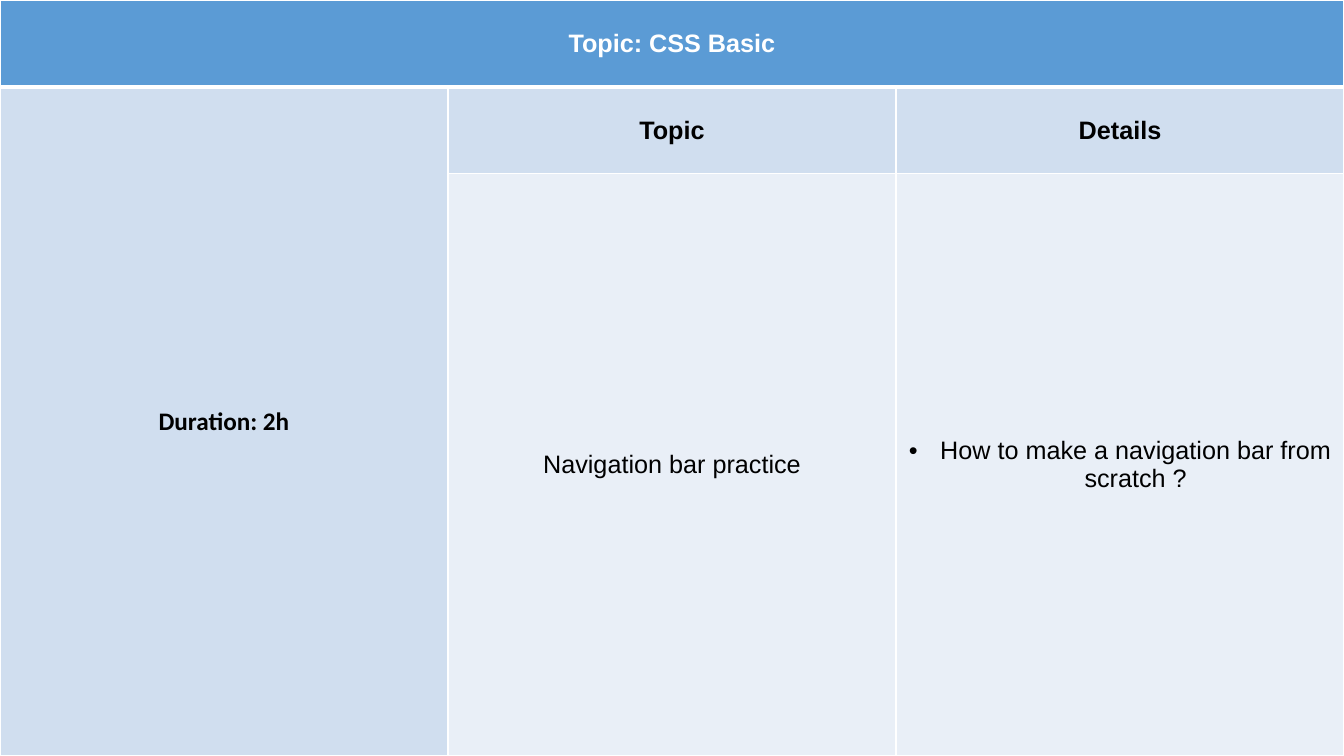
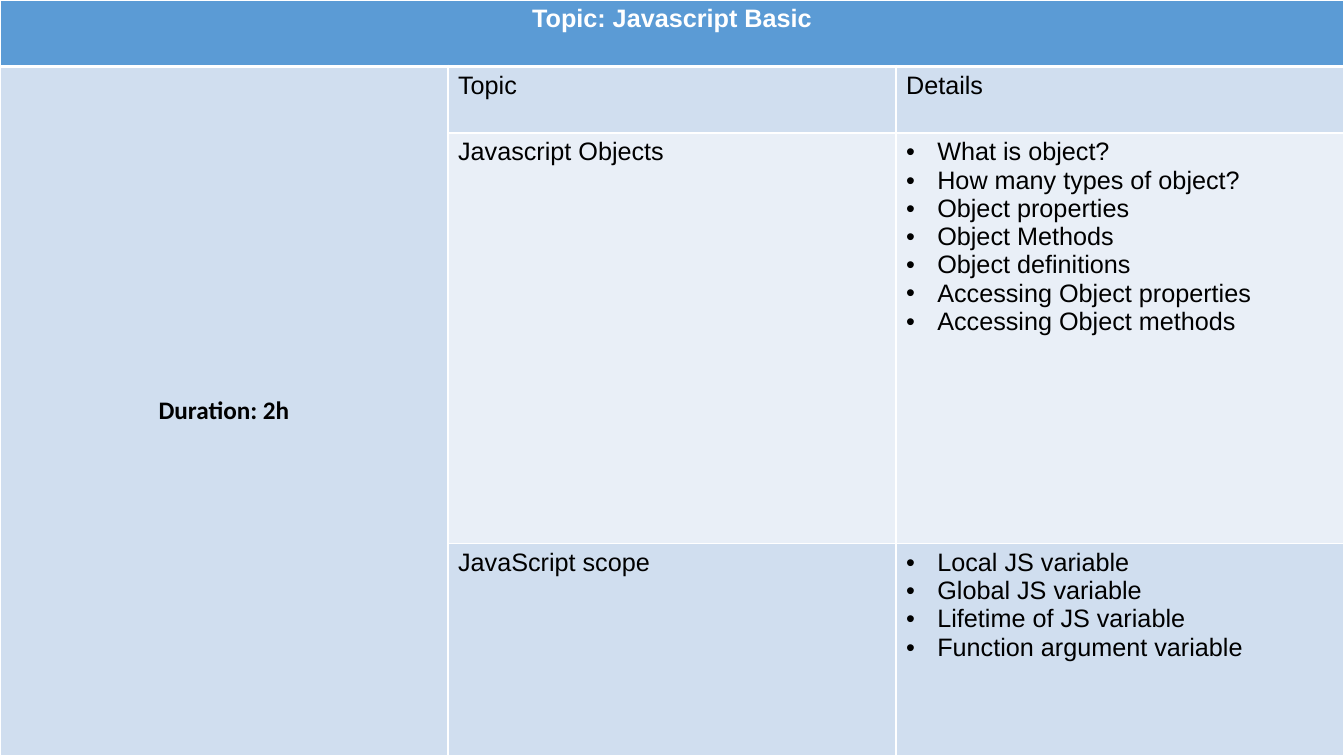
"""Build two full-slide lesson plan tables."""
from lxml.etree import SubElement
from pptx import Presentation
from pptx.dml.color import RGBColor
from pptx.enum.text import MSO_ANCHOR, PP_ALIGN
from pptx.oxml.ns import qn
from pptx.util import Inches, Pt

WHITE = RGBColor(0xFF, 0xFF, 0xFF)
BLACK = RGBColor(0x00, 0x00, 0x00)
BLUE = RGBColor(0x5B, 0x9B, 0xD5)
BANDS = [RGBColor(0xE9, 0xEF, 0xF7), RGBColor(0xD0, 0xDE, 0xEF)]
COLS = 3
INDENT = Inches(0.31)

BASE = {"name": "Arial", "size": Pt(18), "bold": False}
BOLD = BASE | {"bold": True}
TIME = BOLD | {"name": "Calibri"}

PLANS = [
    {
        "title": "Topic: CSS Basic",
        "rows": [0.115, 0.115, 0.77],
        "mid": True,
        "items": [
            ("Navigation bar practice",
             ["How to make a navigation bar from scratch ?"]),
        ],
    },
    {
        "title": "Topic: Javascript Basic",
        "rows": [0.088, 0.088, 0.543, 0.281],
        "mid": False,
        "items": [
            ("Javascript Objects",
             ["What is object?", "How many types of object?",
              "Object properties", "Object Methods", "Object definitions",
              "Accessing Object properties", "Accessing Object methods"]),
            ("JavaScript scope",
             ["Local JS variable", "Global JS variable",
              "Lifetime of JS variable", "Function argument variable"]),
        ],
    },
]


def rule(cell, side, width):
    """Draw one white border of a cell."""
    line = SubElement(cell._tc.get_or_add_tcPr(), qn("a:ln" + side), w=str(Pt(width)))
    fill = SubElement(line, qn("a:solidFill"))
    SubElement(fill, qn("a:srgbClr"), val=str(WHITE))


def write(cell, lines, style, color=BLACK, mid=False, center=False, dots=False):
    """Fill a cell with styled paragraphs."""
    cell.vertical_anchor = MSO_ANCHOR.MIDDLE if mid else MSO_ANCHOR.TOP
    frame = cell.text_frame
    frame.text = "\n".join(lines)
    for para in frame.paragraphs:
        para.alignment = PP_ALIGN.CENTER if center else PP_ALIGN.LEFT
        if dots:
            props = para._p.get_or_add_pPr()
            props.set("marL", str(INDENT))
            props.set("indent", str(-INDENT))
            SubElement(props, qn("a:buFont"), typeface="Arial")
            SubElement(props, qn("a:buChar"), char="•")
        font = para.runs[0].font
        for key, value in style.items():
            setattr(font, key, value)
        font.color.rgb = color


deck = Presentation()
deck.slide_width, deck.slide_height = Inches(13.33), Inches(7.5)
wide, high = deck.slide_width, deck.slide_height

for plan in PLANS:
    slide = deck.slides.add_slide(deck.slide_layouts[6])
    count = len(plan["rows"])
    grid = slide.shapes.add_table(count, COLS, 0, 0, wide, high).table
    grid.first_row = grid.horz_banding = False
    for col in grid.columns:
        col.width = wide // COLS
    for row, share in zip(grid.rows, plan["rows"]):
        row.height = int(high * share)

    for r in range(count):
        for c in range(COLS):
            cell = grid.cell(r, c)
            for side in "LRTB":
                thick = (r, side) in [(0, "B"), (1, "T")]
                rule(cell, side, 3 if thick else 1)
            cell.fill.solid()
            cell.fill.fore_color.rgb = BANDS[r % 2] if r else BLUE

    grid.cell(0, 0).merge(grid.cell(0, COLS - 1))
    grid.cell(1, 0).merge(grid.cell(count - 1, 0))

    mid = plan["mid"]
    look = {"mid": mid, "center": mid}
    write(grid.cell(0, 0), [plan["title"]], BOLD, WHITE, mid, center=True)
    write(grid.cell(1, 0), ["Duration: 2h"], TIME, mid=True, center=True)
    for c, label in enumerate(["Topic", "Details"], 1):
        write(grid.cell(1, c), [label], BOLD if mid else BASE, **look)
    for r, (topic, points) in enumerate(plan["items"], 2):
        write(grid.cell(r, 1), [topic], BASE, **look)
        write(grid.cell(r, 2), points, BASE, dots=True, **look)

deck.save("out.pptx")
